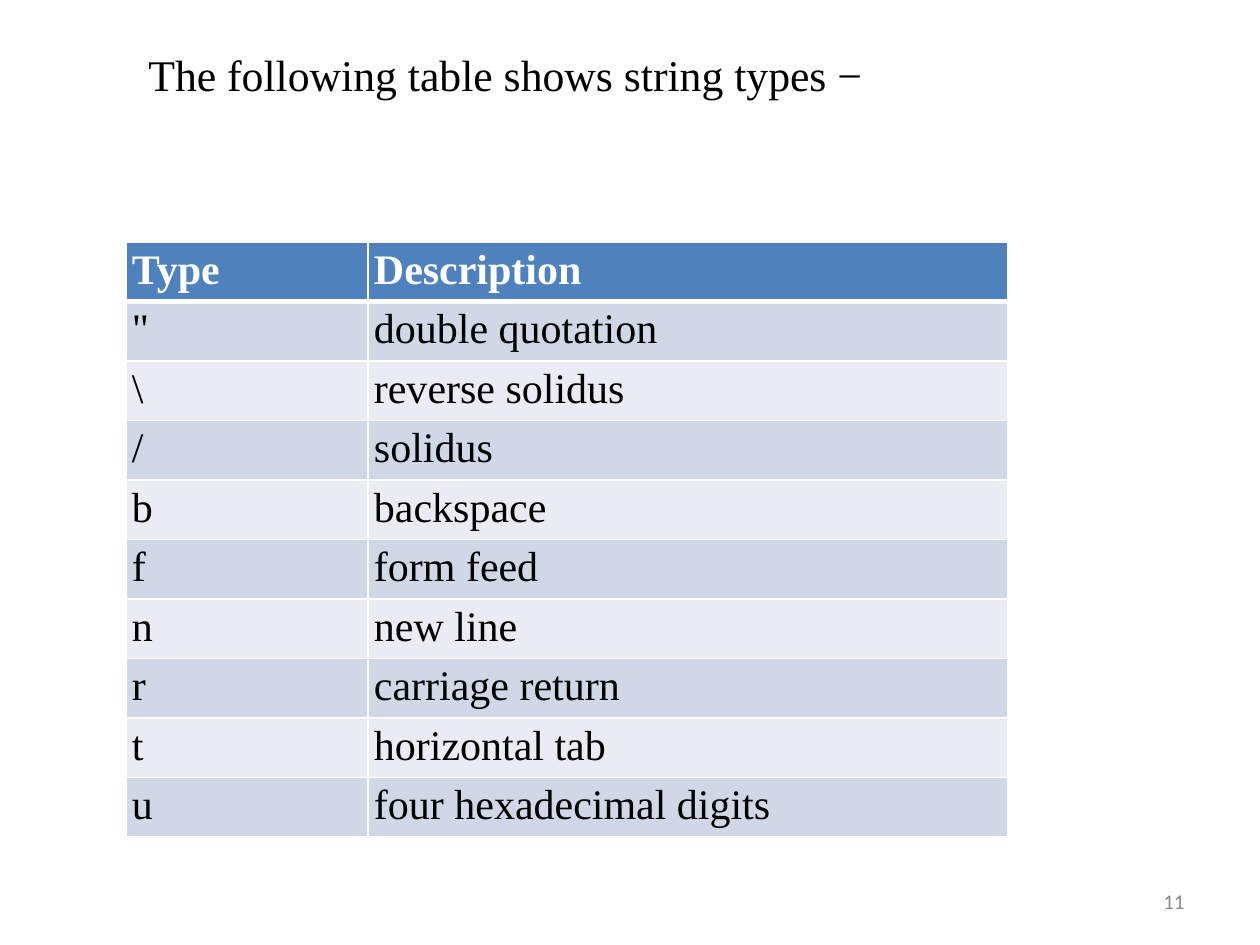
from lxml import etree
from pptx import Presentation
from pptx.dml.color import RGBColor
from pptx.enum.text import MSO_ANCHOR, PP_ALIGN
from pptx.oxml.ns import qn
from pptx.util import Emu, Pt

LEFT, RIGHT = PP_ALIGN.LEFT, PP_ALIGN.RIGHT
TOP, MIDDLE = MSO_ANCHOR.TOP, MSO_ANCHOR.MIDDLE

TITLE = "The following table shows string types −"
PAGE = "11"
ROWS = [
    ("Type", "Description"),
    ('"', "double quotation"),
    ("\\", "reverse solidus"),
    ("/", "solidus"),
    ("b", "backspace"),
    ("f", "form feed"),
    ("n", "new line"),
    ("r", "carriage return"),
    ("t", "horizontal tab"),
    ("u", "four hexadecimal digits"),
]
COLORS = {
    "head": "4F81BD",
    "odd": "D0D8E7",
    "even": "E9ECF3",
    "white": "FFFFFF",
    "black": "000000",
    "gray": "8B8B8B",
}
SERIF, SANS = "Times New Roman", "Calibri"
COLS = (242, 640)
TABLE_X, TABLE_Y, TABLE_H = 126, 242, 595
THIN, THICK = 0.96, 3


def px(n):
    return Emu(round(n * 914400 / 126))


def rgb(name):
    return RGBColor.from_string(COLORS[name])


def put(frame, text, size=24, font=SERIF, color="black", bold=False, align=LEFT):
    para = frame.paragraphs[0]
    para.alignment = align
    run = para.add_run()
    run.text = text
    run.font.size = Pt(size)
    run.font.name = font
    run.font.bold = bold
    run.font.color.rgb = rgb(color)


def add_box(slide, text, x, y, w, h, anchor=TOP, **style):
    frame = slide.shapes.add_textbox(px(x), px(y), px(w), px(h)).text_frame
    frame.word_wrap = True
    frame.vertical_anchor = anchor
    put(frame, text, **style)


def edge(cell, side, width):
    """Draw one white border; call before the cell is filled."""
    props = cell._tc.get_or_add_tcPr()
    line = etree.SubElement(props, qn("a:" + side), w=str(Pt(width)))
    fill = etree.SubElement(line, qn("a:solidFill"))
    etree.SubElement(fill, qn("a:srgbClr"), val=COLORS["white"])


def add_grid(slide):
    count = len(ROWS)
    table = slide.shapes.add_table(
        count, len(COLS), px(TABLE_X), px(TABLE_Y), px(sum(COLS)), px(TABLE_H)
    ).table
    for col, width in zip(table.columns, COLS):
        col.width = px(width)
    for i, texts in enumerate(ROWS):
        table.rows[i].height = px(TABLE_H / count)
        head = i == 0
        band = "head" if head else "odd" if i % 2 else "even"
        for j, text in enumerate(texts):
            cell = table.cell(i, j)
            cell.margin_left = cell.margin_right = px(6)
            cell.margin_top = cell.margin_bottom = px(5)
            edge(cell, "lnL", THIN)
            edge(cell, "lnR", THIN)
            edge(cell, "lnT", THICK if i == 1 else THIN)
            edge(cell, "lnB", THICK if head else THIN)
            cell.fill.solid()
            cell.fill.fore_color.rgb = rgb(band)
            put(cell.text_frame, text, color="white" if head else "black", bold=head)


def main():
    deck = Presentation()
    deck.slide_width, deck.slide_height = px(1260), px(945)
    slide = deck.slides.add_slide(deck.slide_layouts[6])
    add_grid(slide)
    add_box(slide, PAGE, 903, 876, 294, 50, anchor=MIDDLE,
            size=12, font=SANS, color="gray", align=RIGHT)
    add_box(slide, TITLE, 136, 42, 914, 66, size=25)
    deck.save("out.pptx")


if __name__ == "__main__":
    main()
